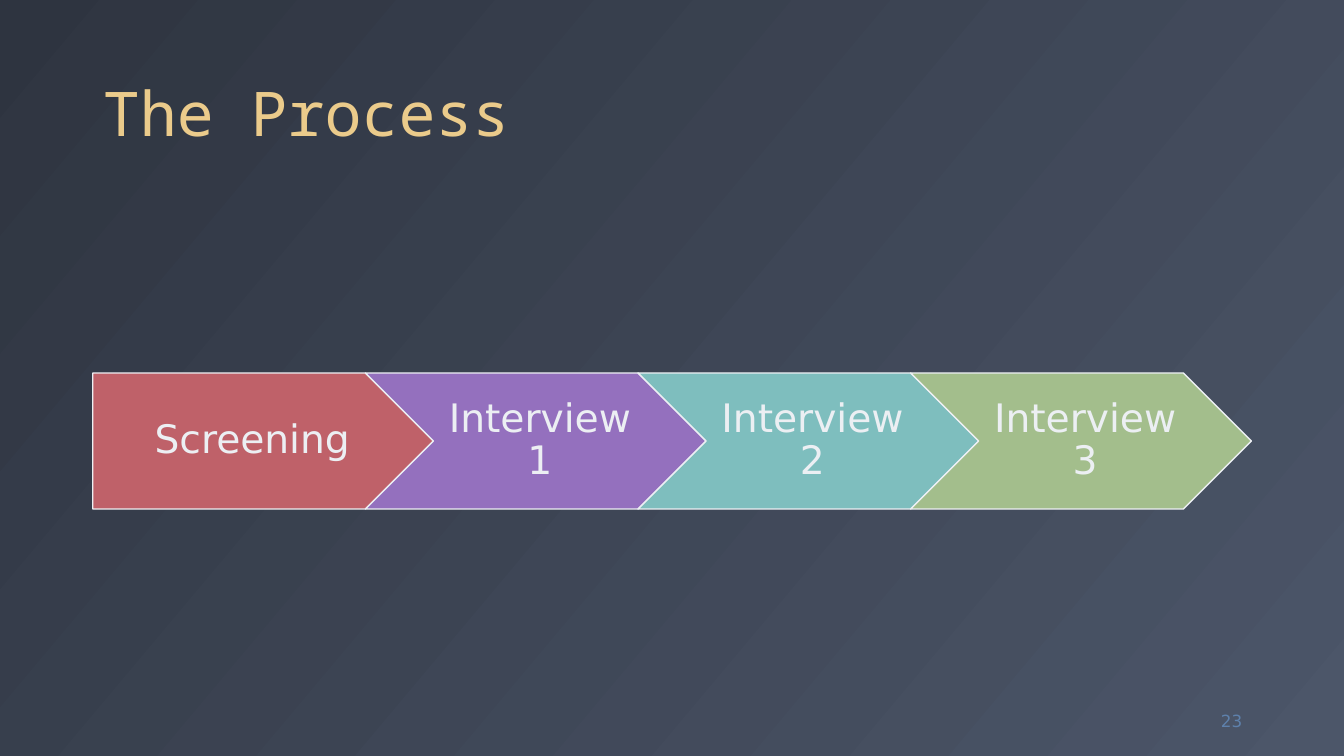
from dataclasses import dataclass

from pptx import Presentation
from pptx.dml.color import RGBColor
from pptx.enum.shapes import MSO_SHAPE
from pptx.enum.text import MSO_ANCHOR, MSO_AUTO_SIZE, PP_ALIGN
from pptx.shapes.group import GroupShape
from pptx.text.text import TextFrame
from pptx.util import Inches, Pt

PENTAGON, CHEVRON = MSO_SHAPE.PENTAGON, MSO_SHAPE.CHEVRON
LEFT, CENTER, RIGHT = PP_ALIGN.LEFT, PP_ALIGN.CENTER, PP_ALIGN.RIGHT
MIDDLE, BOTTOM = MSO_ANCHOR.MIDDLE, MSO_ANCHOR.BOTTOM
NO_AUTOFIT = MSO_AUTO_SIZE.NONE

NIGHT = RGBColor(0x2E, 0x34, 0x40)
SLATE = RGBColor(0x4C, 0x56, 0x69)
GOLD = RGBColor(0xEB, 0xCB, 0x8B)
SNOW = RGBColor(0xEC, 0xEF, 0xF3)
BLUE = RGBColor(0x5E, 0x81, 0xAC)
RED = RGBColor(0xBF, 0x61, 0x69)
PURPLE = RGBColor(0x94, 0x70, 0xBE)
TEAL = RGBColor(0x7E, 0xBE, 0xBE)
GREEN = RGBColor(0xA3, 0xBE, 0x8C)

BODY_FONT = "DejaVu Sans"
TITLE_FONT = "Noto Sans Mono"

# Process row, in inches: each step overlaps the next by its arrow point
ROW_LEFT, ROW_TOP = 0.92, 3.7
STEP_WIDTH, STEP_HEIGHT = 3.38, 1.35
STEP_PITCH = 0.8 * STEP_WIDTH


@dataclass(frozen=True)
class Step:
    label: str
    color: RGBColor
    outline: MSO_SHAPE = CHEVRON
    left_inset: float = 0.12


STEPS = [
    Step("Screening", RED, PENTAGON, 0.16),
    Step("Interview 1", PURPLE),
    Step("Interview 2", TEAL),
    Step("Interview 3", GREEN),
]


def write_text(frame: TextFrame, text: str, *, size: float, color: RGBColor,
               font: str = BODY_FONT, align: PP_ALIGN = LEFT,
               anchor: MSO_ANCHOR = MIDDLE, line_spacing: float = 1.0,
               insets: tuple[float, float, float, float] = (0.1, 0.05, 0.1, 0.05)) -> None:
    """Fill a frame with one formatted paragraph; insets run left, top, right, bottom."""
    frame.word_wrap = True
    frame.auto_size = NO_AUTOFIT
    frame.vertical_anchor = anchor
    (frame.margin_left, frame.margin_top,
     frame.margin_right, frame.margin_bottom) = map(Inches, insets)
    paragraph = frame.paragraphs[0]
    paragraph.alignment = align
    paragraph.line_spacing = line_spacing
    run = paragraph.add_run()
    run.text = text
    run.font.name = font
    run.font.size = Pt(size)
    run.font.color.rgb = color


def draw_step(group: GroupShape, step: Step, column: int) -> None:
    left = ROW_LEFT + column * STEP_PITCH
    shape = group.shapes.add_shape(step.outline, Inches(left), Inches(ROW_TOP),
                                   Inches(STEP_WIDTH), Inches(STEP_HEIGHT))
    shape.shadow.inherit = False
    shape.fill.solid()
    shape.fill.fore_color.rgb = step.color
    shape.line.color.rgb = SNOW
    shape.line.width = Pt(1)
    write_text(shape.text_frame, step.label, size=28, color=SNOW, align=CENTER,
               line_spacing=0.9, insets=(step.left_inset, 0.08, 0.04, 0.08))


def main() -> None:
    presentation = Presentation()
    presentation.slide_width = Inches(13.33)
    presentation.slide_height = Inches(7.5)
    slide = presentation.slides.add_slide(presentation.slide_layouts[5])

    # Diagonal background gradient
    background = slide.background.fill
    background.gradient()
    background.gradient_angle = 320
    for stop, color in zip(background.gradient_stops, (NIGHT, SLATE)):
        stop.color.rgb = color

    # Title
    title = slide.shapes.title
    title.left, title.top = Inches(ROW_LEFT), Inches(0.18)
    title.width, title.height = Inches(11.5), Inches(1.36)
    write_text(title.text_frame, "The Process", size=44, color=GOLD,
               font=TITLE_FONT, anchor=BOTTOM, line_spacing=0.9)

    # Process steps
    process = slide.shapes.add_group_shape()
    for column, step in enumerate(STEPS):
        draw_step(process, step, column)

    # Slide number
    number = slide.shapes.add_textbox(Inches(11.59), Inches(6.95),
                                      Inches(0.83), Inches(0.4))
    write_text(number.text_frame, "23", size=12, color=BLUE, align=RIGHT)

    presentation.save("out.pptx")


if __name__ == "__main__":
    main()
